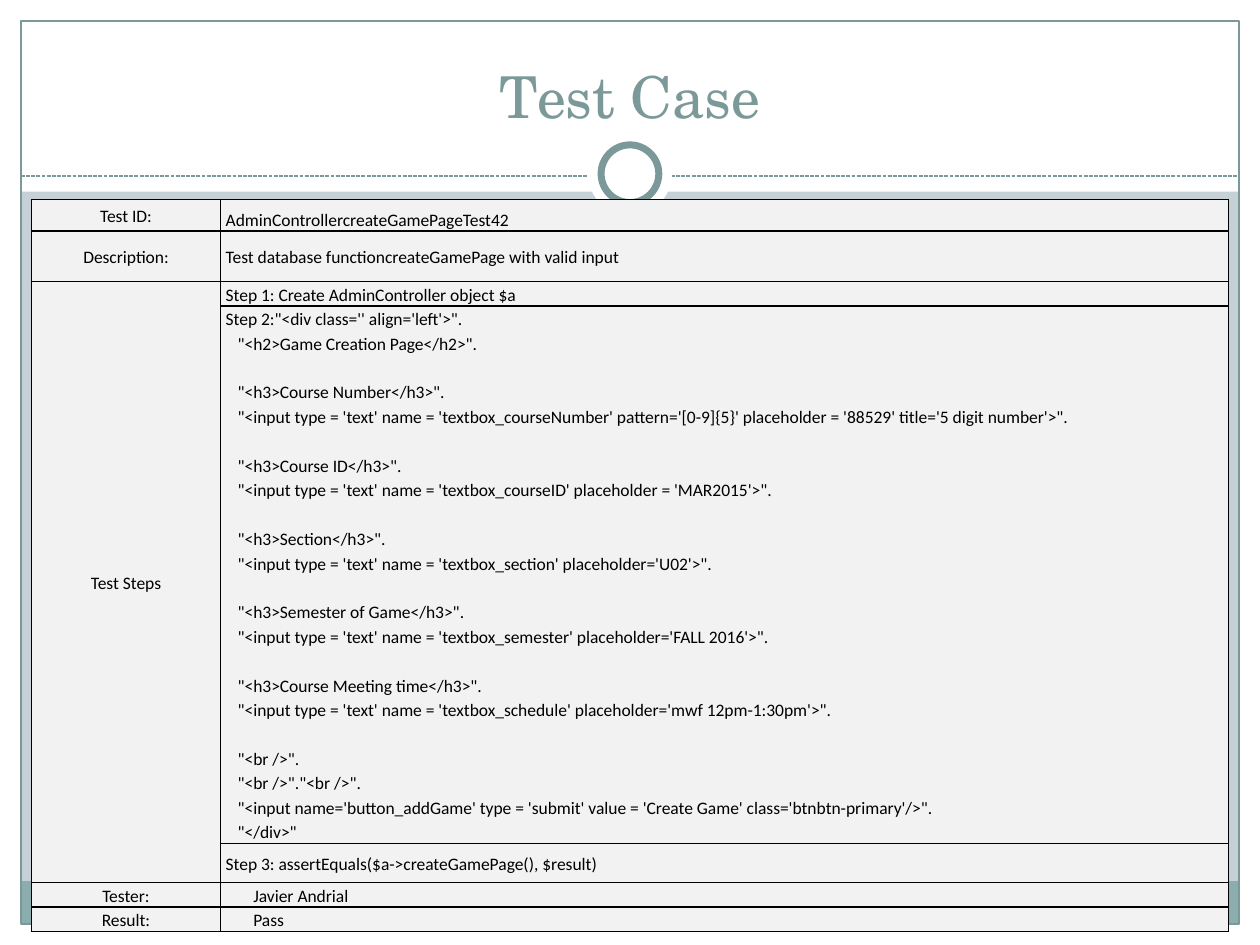
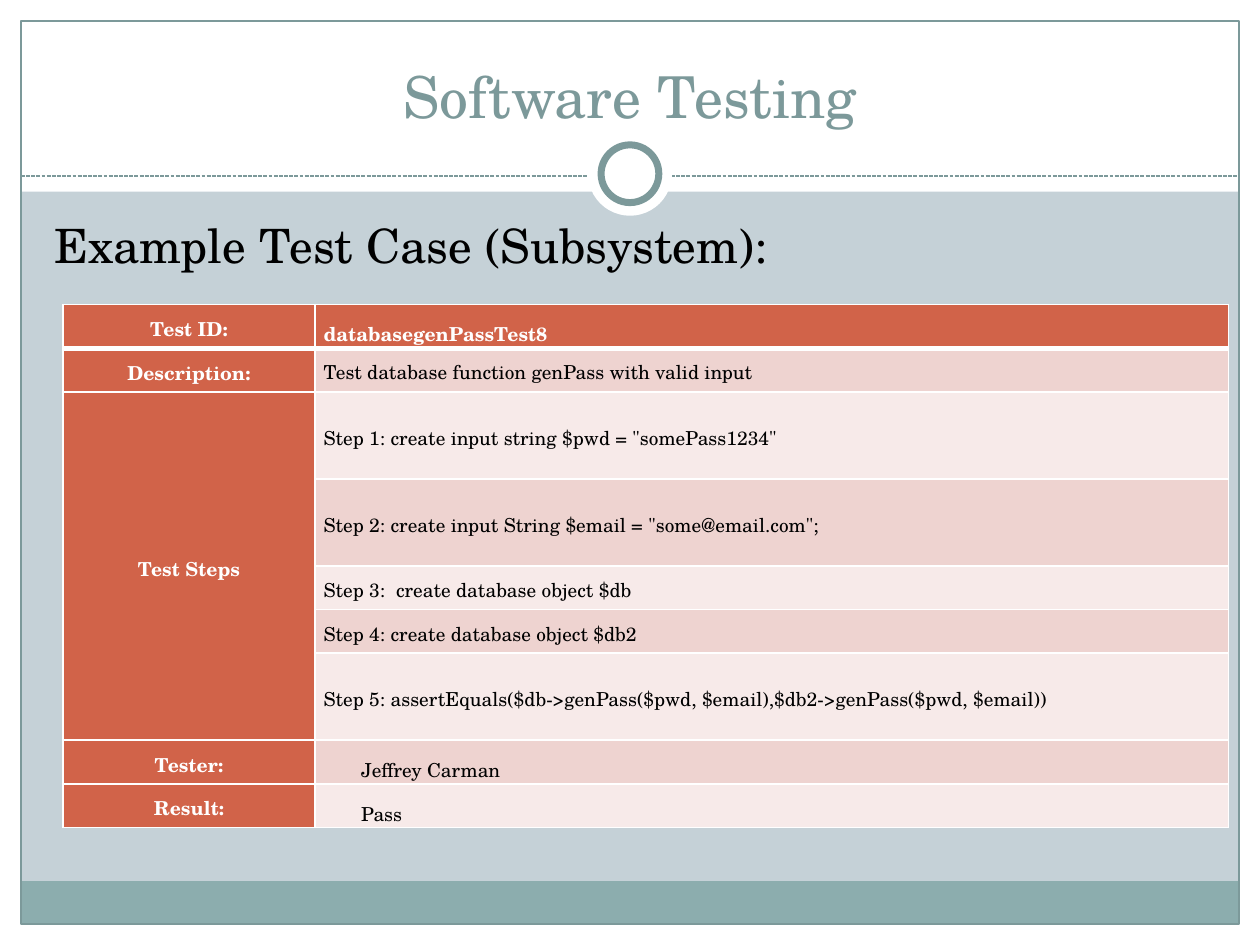
import pptx
import pptx.util
import pptx.dml.color
import pptx.enum.dml
import pptx.enum.shapes
import pptx.enum.text
import pptx.oxml
import pptx.oxml.ns

Pt = pptx.util.Pt
RGB = pptx.dml.color.RGBColor
MIDDLE = pptx.enum.text.MSO_ANCHOR.MIDDLE
BOTTOM = pptx.enum.text.MSO_ANCHOR.BOTTOM
CENTER = pptx.enum.text.PP_ALIGN.CENTER
RECTANGLE = pptx.enum.shapes.MSO_SHAPE.RECTANGLE
OVAL = pptx.enum.shapes.MSO_SHAPE.OVAL

# Content: each row is (label, text, height); steps share one label.
# The page markup is a list of groups of lines, set apart by a gap.
PAGE_MARKUP = [
    ["Step 2:\"<div class='' align='left'>\".",
     '"<h2>Game Creation Page</h2>".'],
    ['"<h3>Course Number</h3>".',
     "\"<input type = 'text' name = 'textbox_courseNumber' pattern='[0-9]{5}' "
     "placeholder = '88529' title='5 digit number'>\"."],
    ['"<h3>Course ID</h3>".',
     "\"<input type = 'text' name = 'textbox_courseID' placeholder = 'MAR2015'>\"."],
    ['"<h3>Section</h3>".',
     "\"<input type = 'text' name = 'textbox_section' placeholder='U02'>\"."],
    ['"<h3>Semester of Game</h3>".',
     "\"<input type = 'text' name = 'textbox_semester' placeholder='FALL 2016'>\"."],
    ['"<h3>Course Meeting time</h3>".',
     "\"<input type = 'text' name = 'textbox_schedule' placeholder='mwf 12pm-1:30pm'>\"."],
    ['"<br />".',
     '"<br />"."<br />".',
     "\"<input name='button_addGame' type = 'submit' value = 'Create Game' "
     "class='btnbtn-primary'/>\".",
     '"</div>"'],
]
GAME_PAGE_ROWS = [
    ("Test ID:", "AdminControllercreateGamePageTest42", 18),
    ("Description:", "Test database functioncreateGamePage with valid input", 28.8),
    ("Test Steps", "Step 1: Create AdminController object $a", 10.8),
    ("", PAGE_MARKUP, 300),
    ("", "Step 3: assertEquals($a->createGamePage(), $result)", 22.3),
    ("Tester:", "Javier Andrial", 10.8),
    ("Result:", "Pass", 10.8),
]
PASSWORD_ROWS = [
    ("Test ID:", "databasegenPassTest8", 25),
    ("Description:", "Test database function genPass with valid input", 25),
    ("Test Steps", 'Step 1: create input string $pwd = "somePass1234"', 49.7),
    ("", 'Step 2: create input String $email = "some@email.com";', 49.7),
    ("", "Step 3:  create database object $db", 25),
    ("", "Step 4: create database object $db2", 25),
    ("", "Step 5: assertEquals($db->genPass($pwd, $email),$db2->genPass($pwd, $email))", 49.7),
    ("Tester:", "Jeffrey Carman", 25),
    ("Result:", "Pass", 25),
]
INDENTED_LABELS = ("Tester:", "Result:")
BOTTOM_LABELS = ("Test ID:",) + INDENTED_LABELS

# Shared look
WIDTH, HEIGHT = 720, 540
SERIF, SANS = "TeX Gyre Schola", "Calibri"
WHITE, BLACK = RGB(255, 255, 255), RGB(0, 0, 0)
BACKGROUND = RGB(0xC5, 0xD1, 0xD7)
FOOTER = RGB(0x8C, 0xAD, 0xAE)
SLATE = RGB(0x7C, 0x99, 0x9A)
GRAY = RGB(0xF2, 0xF2, 0xF2)
RUST = RGB(0xD1, 0x63, 0x49)
ROSE = RGB(0xEE, 0xD3, 0xD0)
PALE_ROSE = RGB(0xF7, 0xEA, 0xE9)

PLAIN = dict(font=SANS, size=10, inset=3, indent=15.8, code_indent=6.8, gap=14,
             border=BLACK, header_rule=1, label_fill=GRAY, stripes=(GRAY, GRAY),
             label_color=BLACK, bold_labels=False)
COLORED = dict(font=SERIF, size=11, inset=4.9, indent=21.5, code_indent=0, gap=0,
               border=WHITE, header_rule=3, label_fill=RUST,
               stripes=(PALE_ROSE, ROSE), label_color=WHITE, bold_labels=True)


def style_runs(paragraph, font, size, color, bold=False):
    for run in paragraph.runs:
        run.font.name, run.font.size = font, Pt(size)
        run.font.color.rgb, run.font.bold = color, bold


def add_figure(slide, kind, box, fill=None, line=None, line_width=0.75):
    figure = slide.shapes.add_shape(kind, *map(Pt, box))
    figure.shadow.inherit = False
    if fill is None:
        figure.fill.background()
    else:
        figure.fill.solid()
        figure.fill.fore_color.rgb = fill
    if line is None:
        figure.line.fill.background()
    else:
        figure.line.color.rgb, figure.line.width = line, Pt(line_width)


def add_framed_slide(deck, heading):
    slide = deck.slides.add_slide(deck.slide_layouts[5])
    slide.background.fill.solid()
    slide.background.fill.fore_color.rgb = BACKGROUND

    # White margins, footer band and outline
    edge, band_bottom = 12, 528
    for box in ((0, band_bottom, WIDTH, edge), (0, 0, WIDTH, 109.5),
                (0, 0, edge, HEIGHT), (WIDTH - edge, 0, edge, HEIGHT)):
        add_figure(slide, RECTANGLE, box, WHITE)
    add_figure(slide, RECTANGLE, (edge, 503.5, WIDTH - 2 * edge, 24.5), FOOTER)
    add_figure(slide, RECTANGLE, (edge, edge, WIDTH - 2 * edge, band_bottom - edge),
               line=SLATE)

    # Dashed rule with the ring on it
    rule = slide.shapes.add_connector(pptx.enum.shapes.MSO_CONNECTOR.STRAIGHT,
                                      Pt(edge), Pt(100.6), Pt(WIDTH - edge), Pt(100.6))
    rule.line.color.rgb, rule.line.width = SLATE, Pt(0.75)
    rule.line.dash_style = pptx.enum.dml.MSO_LINE.SQUARE_DOT
    rule._element.spPr.append(pptx.oxml.parse_xml(
        f'<a:effectLst {pptx.oxml.ns.nsdecls("a")}/>'))
    for diameter, outline in ((48, None), (33, SLATE)):
        add_figure(slide, OVAL, ((WIDTH - diameter) / 2, 99.3 - diameter / 2,
                                 diameter, diameter), WHITE, outline, 4)

    # Title, brought in front of the white margin
    title = slide.shapes.title
    title.left, title.top, title.width, title.height = map(Pt, (24, 18, 672, 60))
    title.text_frame.text = heading
    title.text_frame.vertical_anchor = BOTTOM
    title.text_frame.auto_size = pptx.enum.text.MSO_AUTO_SIZE.NONE
    title.text_frame.paragraphs[0].alignment = CENTER
    style_runs(title.text_frame.paragraphs[0], SERIF, 33, SLATE)
    slide.shapes._spTree.append(title._element)
    return slide


def finish_cell(cell, look, fill, color, bold, rules):
    cell.margin_left = cell.margin_right = Pt(look["inset"])
    cell.margin_top = cell.margin_bottom = 0
    for paragraph in cell.text_frame.paragraphs:
        paragraph.line_spacing = 1.15
        style_runs(paragraph, look["font"], look["size"], color, bold)
    properties = cell._tc.get_or_add_tcPr()
    for side, width in zip("LRTB", rules):
        properties.append(pptx.oxml.parse_xml(
            f'<a:ln{side} {pptx.oxml.ns.nsdecls("a")} w="{Pt(width)}"><a:solidFill>'
            f'<a:srgbClr val="{look["border"]}"/></a:solidFill></a:ln{side}>'))
    cell.fill.solid()
    cell.fill.fore_color.rgb = fill


def write_entry(cell, entry, look, indent):
    groups = [[entry]] if isinstance(entry, str) else entry
    cell.text_frame.text = "\n".join(line for group in groups for line in group)
    paragraphs = iter(cell.text_frame.paragraphs)
    for group_number, group in enumerate(groups):
        for line_number, _ in enumerate(group):
            paragraph = next(paragraphs)
            first = group_number == line_number == 0
            left = indent if first else look["code_indent"]
            if left:
                paragraph._p.get_or_add_pPr().set("marL", str(Pt(left)))
            if group_number and line_number == 0:
                paragraph.space_before = Pt(look["gap"])


def add_test_table(slide, rows, left, top, widths, look):
    table = slide.shapes.add_table(len(rows), 2, Pt(left), Pt(top), Pt(sum(widths)),
                                   Pt(sum(row[2] for row in rows))).table
    table.first_row = table.horz_banding = False
    for column, width in zip(table.columns, widths):
        column.width = Pt(width)

    for number, (label, entry, height) in enumerate(rows):
        table.rows[number].height = Pt(height)
        label_cell, entry_cell = table.cell(number, 0), table.cell(number, 1)
        header = number == 0
        rules = (1, 1, look["header_rule"] if number == 1 else 1,
                 look["header_rule"] if header else 1)

        label_cell.text_frame.text = label
        label_cell.vertical_anchor = MIDDLE
        label_cell.text_frame.paragraphs[0].alignment = CENTER
        finish_cell(label_cell, look, look["label_fill"], look["label_color"],
                    look["bold_labels"], rules)

        write_entry(entry_cell, entry, look,
                    look["indent"] if label in INDENTED_LABELS else 0)
        entry_cell.vertical_anchor = BOTTOM if label in BOTTOM_LABELS else MIDDLE
        finish_cell(entry_cell, look,
                    look["label_fill"] if header else look["stripes"][number % 2],
                    look["label_color"] if header else BLACK,
                    header and look["bold_labels"], rules)

    # One label spans all the steps
    steps = [number for number, row in enumerate(rows) if row[0] in ("Test Steps", "")]
    table.cell(steps[0], 0).merge(table.cell(steps[-1], 0))


def main():
    deck = pptx.Presentation()
    deck.slide_width, deck.slide_height = Pt(WIDTH), Pt(HEIGHT)

    # Game page test
    game_page = add_framed_slide(deck, "Test Case")
    add_test_table(game_page, GAME_PAGE_ROWS, 18, 114, (108, 576), PLAIN)

    # Password test
    password = add_framed_slide(deck, "Software Testing")
    subtitle = password.shapes.add_textbox(Pt(24), Pt(120), Pt(670), Pt(360)).text_frame
    subtitle.word_wrap = True
    subtitle.text = "Example Test Case (Subsystem):"
    subtitle.paragraphs[0].space_before = Pt(5.4)
    style_runs(subtitle.paragraphs[0], SERIF, 27, BLACK)
    add_test_table(password, PASSWORD_ROWS, 36, 174, (144, 522), COLORED)

    deck.save("out.pptx")


if __name__ == "__main__":
    main()
